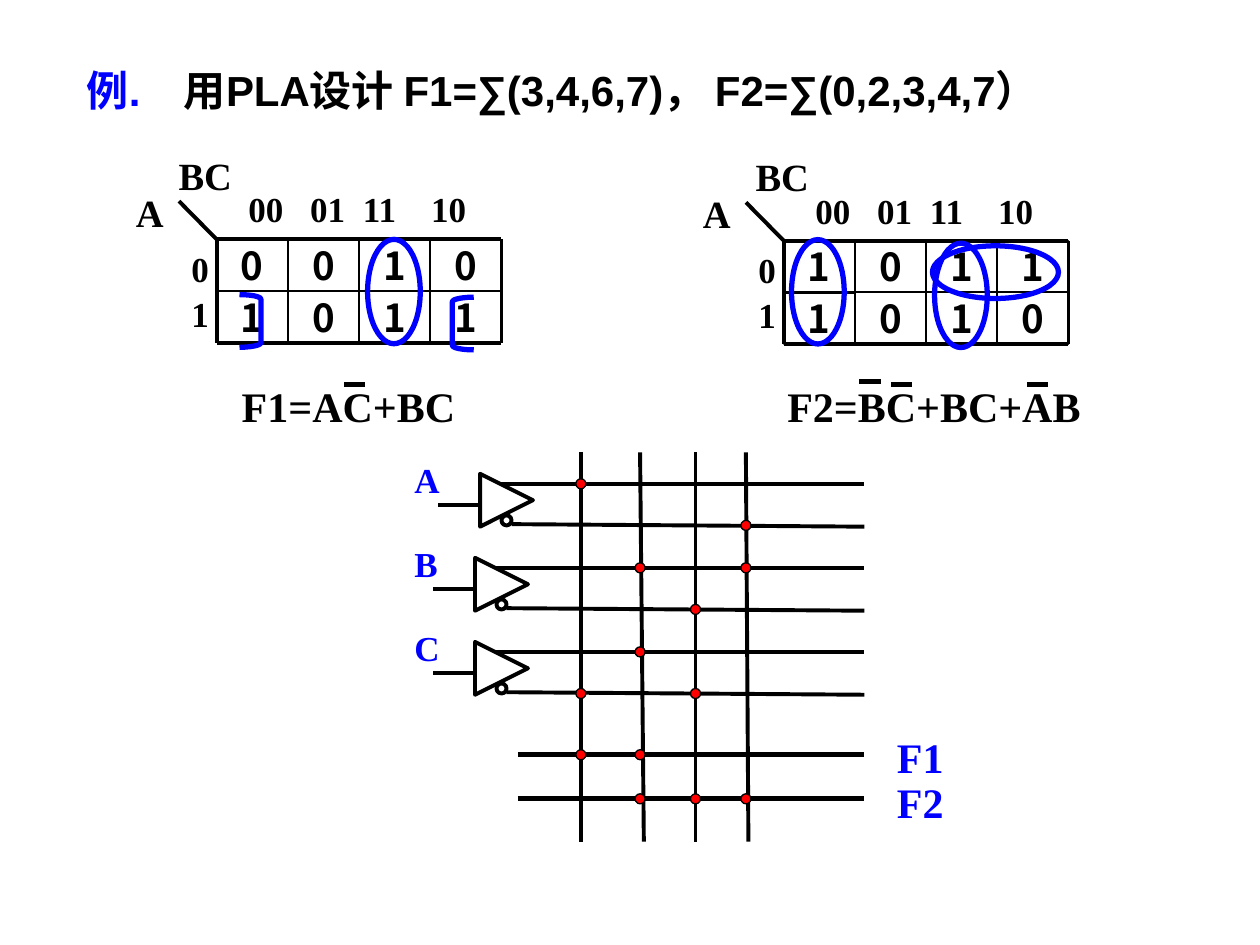
from dataclasses import dataclass
from typing import NamedTuple

from lxml.etree import SubElement
from pptx import Presentation
from pptx.dml.color import RGBColor
from pptx.enum.shapes import MSO_CONNECTOR, MSO_SHAPE
from pptx.enum.text import MSO_ANCHOR, MSO_AUTO_SIZE, PP_ALIGN
from pptx.oxml.ns import qn
from pptx.util import Inches, Pt

BLACK = RGBColor(0x00, 0x00, 0x00)
BLUE = RGBColor(0x00, 0x00, 0xFF)
RED = RGBColor(0xFF, 0x00, 0x00)
SERIF, SANS, CHINESE = "Times New Roman", "Arial", "Noto Sans CJK SC"
THIN, MEDIUM, HEAVY, THICK = 1, 1.5, 2.25, 3


@dataclass(frozen=True)
class Grid:
    """A grid whose corner and cell size are in inches."""
    left: float
    top: float
    column: float
    row: float

    def point(self, column: float, row: float) -> tuple:
        return (Inches(self.left + column * self.column),
                Inches(self.top + row * self.row))

    def box(self, column: float, row: float, width: float, height: float) -> tuple:
        return (*self.point(column, row),
                Inches(width * self.column), Inches(height * self.row))


class Loop(NamedTuple):
    kind: MSO_SHAPE
    box: tuple


class KarnaughMap(NamedTuple):
    corner: tuple
    rows: tuple
    heading_column: float
    loops: tuple


class Formula(NamedTuple):
    text: str
    box: tuple
    bars: tuple


PAGE = Grid(0, 0, 0.1, 0.1)  # 100 columns by 75 rows
MAPS = (
    KarnaughMap((6.22, 1.91), ("1011", "1010"), -0.57, (
        Loop(MSO_SHAPE.OVAL, (0.11, -0.02, 0.74, 2.02)),
        Loop(MSO_SHAPE.OVAL, (2.12, 0.05, 0.74, 2.02)),
        Loop(MSO_SHAPE.OVAL, (2.09, 0.1, 1.77, 1.02)))),
    KarnaughMap((1.72, 1.9), ("0010", "1011"), -0.71, (
        Loop(MSO_SHAPE.OVAL, (2.12, 0, 0.74, 2.02)),
        Loop(MSO_SHAPE.RIGHT_BRACKET, (0.32, 1.07, 0.3, 1.02)),
        Loop(MSO_SHAPE.LEFT_BRACKET, (3.31, 1.12, 0.3, 1.02)))),
)
FORMULAS = (
    Formula("F1=AC+BC", (18.2, 29.7, 22.5, 5), ((27.3, 30.5),)),
    Formula("F2=BC+BC+AB", (61.5, 29.7, 28.3, 5),
            ((68.2, 30.3), (70.7, 30.5), (81.5, 30.5))),
)
# Array columns (top and bottom) and the rows each product term is joined to
TERM_COLUMNS = ((46.1, 46.1), (50.8, 51.1), (55.2, 55.2), (59.2, 59.4))
TERM_JOINS = (("A", "C'", "F1"), ("B", "C", "F1", "F2"),
              ("B'", "C'", "F2"), ("A'", "B", "F2"))
WIRE_END, DOT = 68.6, 0.8


def format_span(span, size: float, color: RGBColor, font: str) -> None:
    span.font.size, span.font.bold, span.font.name = Pt(size), True, font
    span.font.color.rgb = color


def add_tabs(para, *positions: float) -> None:
    tabs = SubElement(para._p.get_or_add_pPr(), qn("a:tabLst"))
    for position in positions:
        SubElement(tabs, qn("a:tab"), pos=str(Inches(position)), algn="l")


def add_label(shapes, place: tuple, text: str, size: float, color=BLACK):
    box = shapes.add_textbox(*place)
    frame = box.text_frame
    frame.word_wrap = True
    frame.auto_size = MSO_AUTO_SIZE.SHAPE_TO_FIT_TEXT
    frame.text = text
    for para in frame.paragraphs:
        for span in para.runs:
            format_span(span, size, color, SERIF)
    return frame


def add_outline(shapes, kind, place: tuple, width: float, color=BLACK, fill=None):
    shape = shapes.add_shape(kind, *place)
    shape.shadow.inherit = False
    if fill is None:
        shape.fill.background()
    else:
        shape.fill.solid()
        shape.fill.fore_color.rgb = fill
    shape.line.color.rgb, shape.line.width = color, Pt(width)
    return shape


def add_line(shapes, start: tuple, end: tuple, width: float) -> None:
    line = shapes.add_connector(MSO_CONNECTOR.STRAIGHT, *start, *end)
    line.line.color.rgb, line.line.width = BLACK, Pt(width)
    SubElement(line._element.spPr, qn("a:effectLst"))


def add_title(page) -> None:
    title = page.shapes.title
    title.left, title.top, title.width, title.height = PAGE.box(5.9, 4.6, 90.8, 5)
    frame = title.text_frame
    frame.vertical_anchor, frame.word_wrap = MSO_ANCHOR.TOP, True
    frame.auto_size = MSO_AUTO_SIZE.NONE
    para = frame.paragraphs[0]
    para.alignment = PP_ALIGN.LEFT
    add_tabs(para, 0.77)
    for text, color in (("例.\t", BLUE),
                        ("用PLA设计 F1=∑(3,4,6,7)， F2=∑(0,2,3,4,7）", BLACK)):
        span = para.add_run()
        span.text = text
        format_span(span, 24, color, SANS)
        SubElement(span._r.get_or_add_rPr(), qn("a:ea"), typeface=CHINESE)


def add_map(page, karnaugh: KarnaughMap) -> None:
    shapes = page.shapes.add_group_shape().shapes
    grid = Grid(*karnaugh.corner, 2.26 / 4, 0.41)
    # Cells
    for row, digits in enumerate(karnaugh.rows):
        for column, digit in enumerate(digits):
            first = row == column == 0
            cell = add_outline(shapes, MSO_SHAPE.RECTANGLE, grid.box(column, row, 1, 1),
                               MEDIUM if first else THIN)
            frame = cell.text_frame
            frame.margin_top = frame.margin_bottom = 0
            frame.vertical_anchor = MSO_ANCHOR.MIDDLE
            frame.text = digit
            frame.paragraphs[0].alignment = PP_ALIGN.CENTER
            format_span(frame.paragraphs[0].runs[0], 22, BLACK, CHINESE)
    # Rules, heavy on the outside
    for row in range(3):
        add_line(shapes, grid.point(0, row), grid.point(4, row), THIN if row == 1 else HEAVY)
    for column in range(5):
        add_line(shapes, grid.point(column, 0), grid.point(column, 2),
                 HEAVY if column in (0, 4) else THIN)
    add_line(shapes, grid.point(-0.53, -0.74), grid.point(0, 0), HEAVY)
    # Variable names and values
    header = add_label(shapes, grid.box(0.27, -1.12, 3.73, 1.05), "00\t01\t11\t10", 20)
    add_tabs(header.paragraphs[0], 0.49, 0.91, 1.45)
    side = add_label(shapes, grid.box(-0.53, 0.29, 0.6, 1.71), "0\n1", 20)
    for para in side.paragraphs:
        para.line_spacing = 0.65
    side.paragraphs[1].space_before = Pt(10)
    add_label(shapes, grid.box(karnaugh.heading_column, -1.82, 1.91, 1.15), "BC", 22)
    add_label(shapes, grid.box(-1.31, -1.09, 1.03, 1.15), "A", 22)
    # Groupings
    for loop in karnaugh.loops:
        shape = add_outline(shapes, loop.kind, grid.box(*loop.box), THICK, BLUE)
        if loop.kind != MSO_SHAPE.OVAL:
            shape.adjustments[0] = 0.21


def add_formula(page, formula: Formula) -> None:
    shapes = page.shapes.add_group_shape().shapes
    add_label(shapes, PAGE.box(*formula.box), formula.text, 24)
    for column, row in formula.bars:
        add_line(shapes, PAGE.point(column, row), PAGE.point(column + 1.7, row), THICK)


def add_array(page) -> None:
    shapes = page.shapes.add_group_shape().shapes
    wire_rows = {}
    # Input buffers with true and inverted wires
    for index, name in enumerate("ABC"):
        left, top = (38.1 if index == 0 else 37.7), 37.6 + 6.67 * index
        add_label(shapes, PAGE.box(31.9, top - 1.7, 6.7, 4.3), name, 20, BLUE)
        buffer = add_outline(shapes, MSO_SHAPE.ISOSCELES_TRIANGLE,
                             PAGE.box(left, top, 4.2, 4.2), HEAVY)
        buffer.rotation = 90
        add_outline(shapes, MSO_SHAPE.OVAL, PAGE.box(left + 1.7, top + 3.3, 0.8, 0.8), HEAVY)
        for start, end in (((left + 1.7, top + 0.8), (WIRE_END, top + 0.8)),
                           ((left + 2.5, top + 4), (WIRE_END, top + 4.2)),
                           ((left - 3.3, top + 2.5), (left, top + 2.5))):
            add_line(shapes, PAGE.point(*start), PAGE.point(*end), HEAVY)
        wire_rows[name], wire_rows[name + "'"] = top + 0.8, top + 4.1
    # Outputs
    for name, row in (("F1", 59.9), ("F2", 63.4)):
        add_line(shapes, PAGE.point(41.1, row), PAGE.point(WIRE_END, row), THICK)
        add_label(shapes, PAGE.box(70.2, row - 2.3, 6.7, 5), name, 24, BLUE)
        wire_rows[name] = row
    # Product terms and their joins
    for (top_column, bottom_column), joins in zip(TERM_COLUMNS, TERM_JOINS):
        add_line(shapes, PAGE.point(top_column, 35.9), PAGE.point(bottom_column, 66.8), HEAVY)
        for name in joins:
            add_outline(shapes, MSO_SHAPE.OVAL,
                        PAGE.box(top_column - DOT / 2, wire_rows[name] - DOT / 2, DOT, DOT),
                        0.75, BLACK, RED)


def main() -> None:
    deck = Presentation()
    deck.slide_width, deck.slide_height = Inches(10), Inches(7.5)
    page = deck.slides.add_slide(deck.slide_layouts[5])
    add_title(page)
    for karnaugh in MAPS:
        add_map(page, karnaugh)
    for formula in FORMULAS:
        add_formula(page, formula)
    add_array(page)
    deck.save("out.pptx")


if __name__ == "__main__":
    main()
